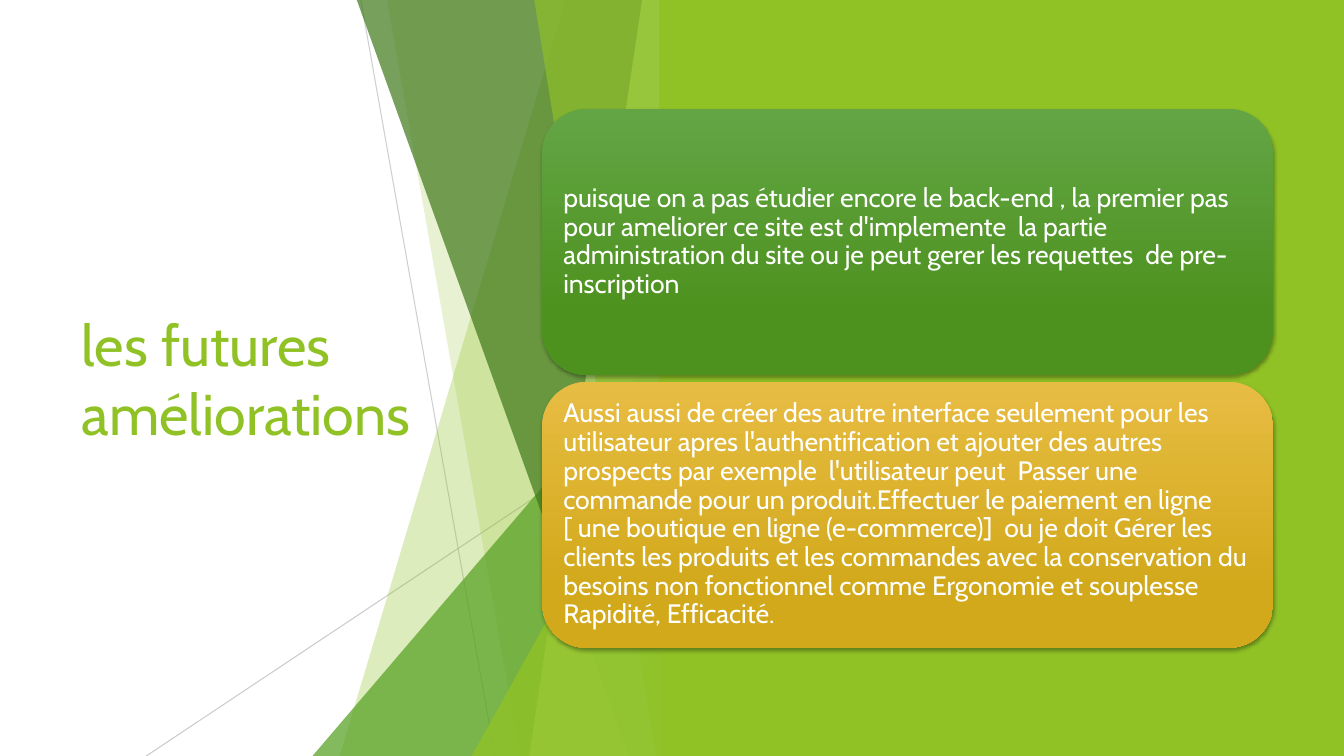
from dataclasses import dataclass

from lxml.etree import SubElement
from pptx import Presentation
from pptx.dml.color import RGBColor
from pptx.enum.shapes import MSO_CONNECTOR, MSO_SHAPE
from pptx.enum.text import MSO_ANCHOR, MSO_AUTO_SIZE, PP_ALIGN
from pptx.oxml.ns import qn
from pptx.shapes.autoshape import Shape
from pptx.shapes.base import BaseShape
from pptx.slide import Slide
from pptx.text.text import TextFrame
from pptx.util import Inches, Pt

WIDTH, HEIGHT = Inches(13.333), Inches(7.5)
FACET_RIGHT = 50
CARD_LEFT, CARD_TOP, CARD_WIDTH, CARD_HEIGHT, CARD_PITCH = 40.35, 14.4, 54.38, 35.2, 36.1


@dataclass(frozen=True)
class Theme:
    font: str = "Cabin"
    title_size: float = 41
    card_size: float = 19
    line_width: float = 0.75
    lime: str = "90C226"
    green: str = "54A021"
    forest: str = "3F7819"
    pale: str = "C0E474"
    grey: str = "BFBFBF"
    white: str = "FFFFFF"
    shadow: str = "000000"
    green_card: tuple[str, str] = ("63A545", "4D921E")
    gold_card: tuple[str, str] = ("E7BC43", "D2A91B")


THEME = Theme()


@dataclass(frozen=True)
class Ray:
    start: tuple[float, float]
    end: tuple[float, float]
    opacity: int


@dataclass(frozen=True)
class Facet:
    """Full-height band whose slanted left edge runs from top_x to bottom_x."""
    top_x: float
    bottom_x: float
    color: str
    opacity: int


@dataclass(frozen=True)
class Spike:
    left: float
    top: float
    color: str
    opacity: int


@dataclass(frozen=True)
class Card:
    text: str
    gradient: tuple[str, str]


RAYS = [
    Ray((26.85, 0), (36.83, 100), 75),
    Ray((FACET_RIGHT, 53.73), (10.88, 100), 80),
]
PIECES = [
    Facet(42.08, 25.28, THEME.lime, 30),
    Facet(28.8, 38.7, THEME.lime, 20),
    Spike(23.25, 44.4, THEME.green, 72),
    Facet(26.55, 46.8, THEME.forest, 70),
    Facet(47.78, 39.38, THEME.pale, 70),
    Facet(39.75, 48.83, THEME.lime, 65),
    Spike(35.1, 52.4, THEME.lime, 80),
]
CARDS = [
    Card("puisque on a pas étudier encore le back-end , la premier pas pour ameliorer "
         "ce site est d'implemente  la partie administration du site ou je peut gerer "
         "les requettes  de pre-inscription", THEME.green_card),
    Card("Aussi aussi de créer des autre interface seulement pour les utilisateur apres "
         "l'authentification et ajouter des autres prospects par exemple  l'utilisateur "
         "peut  Passer une commande pour un produit.Effectuer le paiement en ligne "
         "[ une boutique en ligne (e-commerce)]  ou je doit Gérer les clients les "
         "produits et les commandes avec la conservation du besoins non fonctionnel "
         "comme Ergonomie et souplesse Rapidité, Efficacité.", THEME.gold_card),
]


def x(percent: float) -> int:
    return round(WIDTH * percent / 100)


def y(percent: float) -> int:
    return round(HEIGHT * percent / 100)


def set_opacity(shape: BaseShape, percent: int) -> None:
    color = next(shape._element.spPr.iter(qn("a:srgbClr")))
    SubElement(color, qn("a:alpha"), val=str(percent * 1000))


def paint(sp: Shape, color: str, opacity: int = 100) -> None:
    sp.shadow.inherit = False
    sp.line.fill.background()
    sp.fill.solid()
    sp.fill.fore_color.rgb = RGBColor.from_string(color)
    if opacity < 100:
        set_opacity(sp, opacity)


def write(tf: TextFrame, text: str, size: float, color: str) -> None:
    tf.text = text
    tf.word_wrap = True
    tf.auto_size = MSO_AUTO_SIZE.NONE
    tf.vertical_anchor = MSO_ANCHOR.MIDDLE
    p = tf.paragraphs[0]
    p.alignment = PP_ALIGN.LEFT
    font = p.runs[0].font
    font.name, font.size = THEME.font, Pt(size)
    font.color.rgb = RGBColor.from_string(color)


def add_title(slide: Slide) -> None:
    title = slide.shapes.title
    title.left, title.top = x(5.33), y(20.13)
    title.width, title.height = x(29.1), y(59.73)
    write(title.text_frame, "les futures améliorations", THEME.title_size, THEME.lime)


def add_ray(slide: Slide, ray: Ray) -> None:
    (x1, y1), (x2, y2) = ray.start, ray.end
    line = slide.shapes.add_connector(MSO_CONNECTOR.STRAIGHT, x(x1), y(y1), x(x2), y(y2))
    line.line.width = Pt(THEME.line_width)
    line.line.color.rgb = RGBColor.from_string(THEME.grey)
    set_opacity(line, ray.opacity)
    SubElement(line._element.spPr, qn("a:effectLst"))


def add_facet(slide: Slide, facet: Facet) -> None:
    builder = slide.shapes.build_freeform(x(facet.top_x), 0)
    corners = [(FACET_RIGHT, 0), (FACET_RIGHT, 100), (facet.bottom_x, 100)]
    builder.add_line_segments([(x(cx), y(cy)) for cx, cy in corners], close=True)
    paint(builder.convert_to_shape(), facet.color, facet.opacity)


def add_spike(slide: Slide, spike: Spike) -> None:
    sp = slide.shapes.add_shape(
        MSO_SHAPE.ISOSCELES_TRIANGLE, x(spike.left), y(spike.top),
        x(FACET_RIGHT - spike.left), y(100 - spike.top))
    sp.adjustments[0] = 1
    paint(sp, spike.color, spike.opacity)


def add_panel(slide: Slide) -> None:
    left = x(49.05)
    paint(slide.shapes.add_shape(MSO_SHAPE.RECTANGLE, left, 0, WIDTH - left, HEIGHT), THEME.lime)


def add_drop_shadow(sp: Shape) -> None:
    sp.shadow.inherit = False
    effects = sp._element.spPr.find(qn("a:effectLst"))
    shadow = SubElement(effects, qn("a:outerShdw"), blurRad=str(Pt(3)), dist=str(Pt(2)),
                        dir="5400000", rotWithShape="0")
    color = SubElement(shadow, qn("a:srgbClr"), val=THEME.shadow)
    SubElement(color, qn("a:alpha"), val="35000")


def add_card(slide: Slide, card: Card, row: int) -> None:
    sp = slide.shapes.add_shape(
        MSO_SHAPE.ROUNDED_RECTANGLE, x(CARD_LEFT), y(CARD_TOP + row * CARD_PITCH),
        x(CARD_WIDTH), y(CARD_HEIGHT))
    sp.line.fill.background()
    sp.fill.gradient()
    sp.fill.gradient_angle = 270
    for stop, color, position in zip(sp.fill.gradient_stops, card.gradient, (0, 0.78)):
        stop.color.rgb = RGBColor.from_string(color)
        stop.position = position
    add_drop_shadow(sp)
    tf = sp.text_frame
    tf.margin_left = tf.margin_right = tf.margin_top = tf.margin_bottom = Inches(0.08)
    write(tf, card.text, THEME.card_size, THEME.white)
    tf.paragraphs[0].line_spacing = 0.9


def main() -> None:
    prs = Presentation()
    prs.slide_width, prs.slide_height = WIDTH, HEIGHT
    slide = prs.slides.add_slide(prs.slide_layouts.get_by_name("Title Only"))
    add_title(slide)
    for ray in RAYS:
        add_ray(slide, ray)
    for piece in PIECES:
        if isinstance(piece, Facet):
            add_facet(slide, piece)
        else:
            add_spike(slide, piece)
    add_panel(slide)
    for row, card in enumerate(CARDS):
        add_card(slide, card, row)
    prs.save("out.pptx")


if __name__ == "__main__":
    main()
